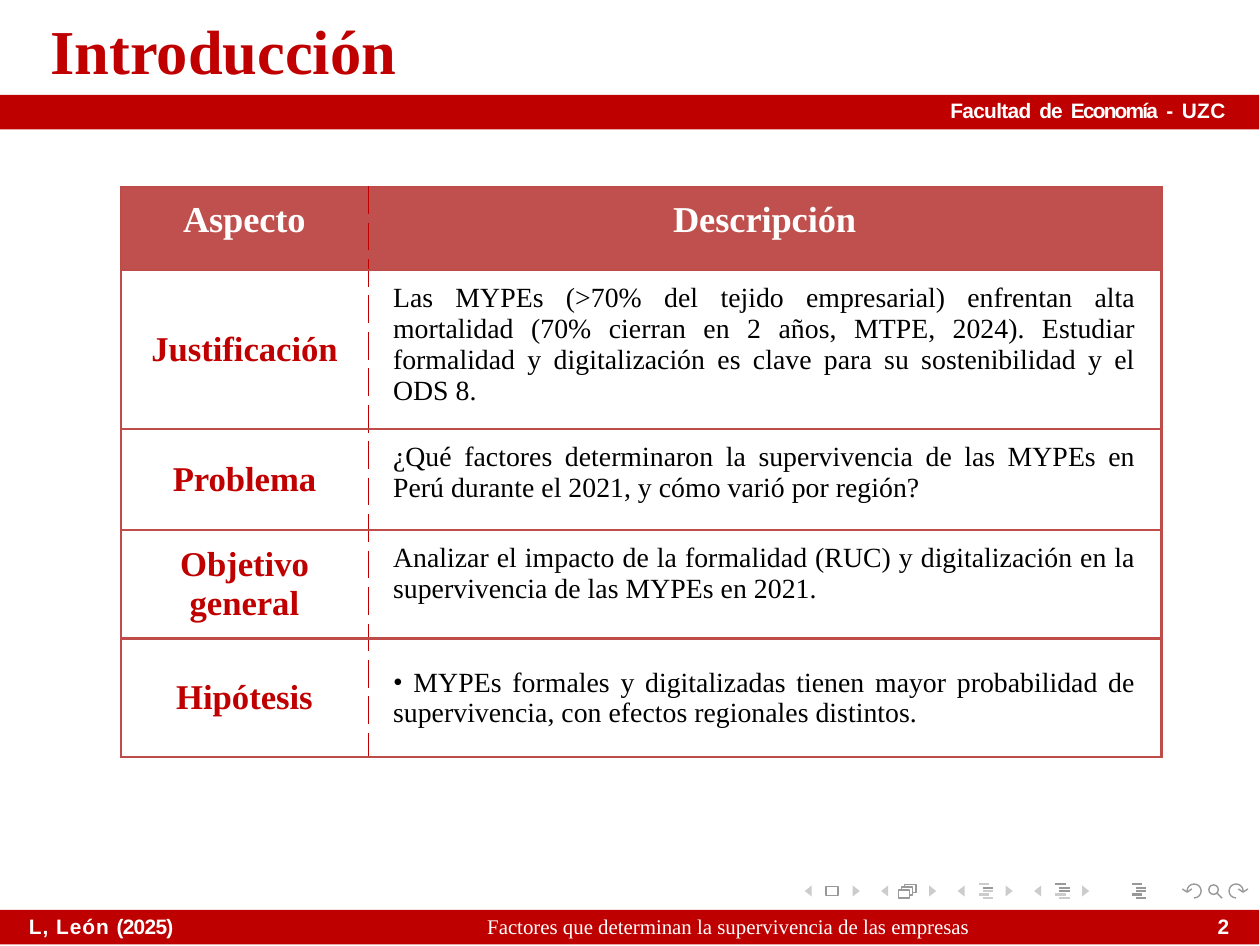
from dataclasses import dataclass
from math import cos, pi, sin

from lxml.etree import SubElement
from pptx import Presentation
from pptx.dml.color import RGBColor
from pptx.enum.shapes import MSO_CONNECTOR as Connector, MSO_SHAPE as Preset
from pptx.enum.text import MSO_ANCHOR as Anchor, MSO_AUTO_SIZE as AutoSize, PP_ALIGN as Align
from pptx.oxml import parse_xml
from pptx.oxml.ns import nsdecls, qn
from pptx.util import Inches, Pt

UNIT = Inches(0.01)
BAND_WIDTH = 503.9
RED, BAND_RED, BORDER, HEADER = "C00000", "BF0000", "BF4C48", "C0504D"
WHITE, BLACK, DARK, LIGHT = "FFFFFF", "000000", "999999", "CCCCCC"
SERIF, SANS = "Times New Roman", "Arial"

Point = tuple[float, float]


@dataclass
class Label:
    column: float
    row: float
    width: float
    height: float
    spans: list[tuple[str, float]]
    font: str = SANS
    bold: bool = True


@dataclass
class Aspect:
    name: str
    description: str
    height: float
    bulleted: bool = False


@dataclass
class Outline:
    contours: list[list[Point]]
    colour: str
    width: float = 0
    closed: bool = False


LABELS = [
    Label(380.3, 39.5, 114, 11, [("Facultad", -0.2), (" ", 0.7), ("de", -0.3), (" ", 0.7),
                                 ("Economía", -0.5), (" ", 0.7), ("-", 0.1), (" ", 0.7), ("UZC", 0.1)]),
    Label(11.6, 366, 76, 10, [("L, León ", 0.27), ("(2025)", -0.2)]),
    Label(195, 366, 217, 10, [("Factores que determinan la supervivencia de las empresas", 0)], SERIF, False),
    Label(487.3, 366, 13, 11, [("2", -0.1)]),
]

ASPECTS = [
    Aspect("Aspecto", "Descripción", 33.2),
    Aspect("Justificación", "Las MYPEs (>70% del tejido empresarial) enfrentan alta mortalidad "
           "(70% cierran en 2 años, MTPE, 2024). Estudiar formalidad y digitalización es clave "
           "para su sostenibilidad y el ODS 8.", 63.5),
    Aspect("Problema", "¿Qué factores determinaron la supervivencia de las MYPEs en Perú "
           "durante el 2021, y cómo varió por región?", 40.5),
    Aspect("Objetivo general", "Analizar el impacto de la formalidad (RUC) y digitalización en la "
           "supervivencia de las MYPEs en 2021.", 43),
    Aspect("Hipótesis", " MYPEs formales y digitalizadas tienen mayor probabilidad de "
           "supervivencia, con efectos regionales distintos.", 47.5, True),
]

NAV_LEFT, NAV_PITCH, NAV_MIDDLE = 322, 30.6, 356.5
LIST_INDENTS = [0, 1.5, 1.5, 0, 1.5]
LIST_DARK_LINES = [{1}, {0, 1, 2}, {0, 1, 2, 3, 4}]


def grid(value: float) -> int:
    return round(value * UNIT)


def colour(value: str) -> RGBColor:
    return RGBColor.from_string(value)


def write(para, text: str, *, size: float, font: str = SERIF, ink: str = BLACK,
          bold: bool = False, spacing: float = 0) -> None:
    span = para.add_run()
    span.text = text
    span.font.name, span.font.size, span.font.bold = font, Pt(size), bold
    span.font.color.rgb = colour(ink)
    if spacing:
        span._r.get_or_add_rPr().set("spc", str(round(spacing * 100)))


def draw_band(page, row: float) -> None:
    band = page.shapes.add_shape(Preset.RECTANGLE, 0, grid(row), grid(BAND_WIDTH), grid(13.8))
    band.shadow.inherit = False
    band.fill.solid()
    band.fill.fore_color.rgb = colour(BAND_RED)
    band.line.fill.background()


def draw_label(page, label: Label) -> None:
    box = page.shapes.add_textbox(*map(grid, (label.column, label.row, label.width, label.height)))
    frame = box.text_frame
    frame.word_wrap = True
    frame.margin_left = frame.margin_right = frame.margin_top = frame.margin_bottom = 0
    para = frame.paragraphs[0]
    para.line_spacing = Pt(6.8)
    for text, spacing in label.spans:
        write(para, text, size=6, font=label.font, ink=WHITE, bold=label.bold, spacing=spacing)


def draw_outline(page, outline: Outline) -> None:
    contours = [[(grid(x), grid(y)) for x, y in contour] for contour in outline.contours]
    builder = page.shapes.build_freeform(*contours[0][0], scale=1.0)
    for number, contour in enumerate(contours):
        if number:
            builder.move_to(*contour[0])
        builder.add_line_segments(contour[1:], close=outline.closed)
    shape = builder.convert_to_shape()
    shape.shadow.inherit = False
    if outline.width:
        shape.fill.background()
        shape.line.color.rgb = colour(outline.colour)
        shape.line.width = Pt(outline.width)
    else:
        shape.fill.solid()
        shape.fill.fore_color.rgb = colour(outline.colour)
        shape.line.fill.background()


def draw_line(page, column: float, row: float, length: float, ink: str) -> None:
    line = page.shapes.add_connector(
        Connector.STRAIGHT, grid(column), grid(row), grid(column + length), grid(row))
    line.line.color.rgb = colour(ink)
    line.line.width = Pt(0.6)
    SubElement(line._element.spPr, qn("a:effectLst"))


def arc(column: float, row: float, radius: float, start: float, sweep: float) -> list[Point]:
    angles = [start + sweep * step / 12 for step in range(13)]
    return [(column + radius * cos(a), row + radius * sin(a)) for a in angles]


def frame_outline(column: float, row: float, width: float, height: float) -> list[Point]:
    right, bottom = column + width, row + height
    return [(column, row), (right, row), (right, bottom), (column, bottom), (column, row)]


def turn_arrow(column: float, side: int) -> list[list[Point]]:
    loop = [(column + side * x, y) for x, y in arc(0, NAV_MIDDLE, 2.8, pi / 2, -1.5 * pi)]
    head = [(column + side * x, NAV_MIDDLE + y) for x, y in ((-0.9, -0.8), (-2.8, 0.5), (-4.7, -0.8))]
    return [loop, head]


def draw_navigation(page) -> None:
    for step in range(4):
        left = NAV_LEFT + step * NAV_PITCH
        arrows = [[(base, NAV_MIDDLE - 2.2), (base, NAV_MIDDLE + 2.2), (tip, NAV_MIDDLE)]
                  for base, tip in ((left + 2.8, left), (left + 19.2, left + 22))]
        draw_outline(page, Outline(arrows, LIGHT, closed=True))
    stack = [frame_outline(359.5, 356, 4.6, 3.2)]
    stack += [[(x, y + 1.4), (x, y), (x + 4.6, y), (x + 4.6, y + 3.2), (x + 3.2, y + 3.2)]
              for x, y in ((360.7, 354.9), (361.9, 353.8))]
    lens = [arc(485.6, 355.9, 1.9, 0, 2 * pi), [(487, 357.3), (489, 359.3)]]
    for contours in ([frame_outline(330.6, 354.8, 4.8, 3.4)], stack, lens,
                     turn_arrow(477.8, 1), turn_arrow(494.6, -1)):
        draw_outline(page, Outline(contours, DARK, 0.4))
    for step, dark_lines in enumerate(LIST_DARK_LINES):
        for number, indent in enumerate(LIST_INDENTS):
            ink = DARK if number in dark_lines else LIGHT
            draw_line(page, 391.7 + step * NAV_PITCH + indent, 353.7 + number * 1.4, 4.2, ink)


def set_borders(cell, column: int) -> None:
    dashed = "R" if column == 0 else "L"
    for position, side in enumerate("LRTB"):
        ink, width, dash = (RED, 0.25, "sysDash") if side == dashed else (BORDER, 0.75, "solid")
        cell._tc.get_or_add_tcPr().insert(position, parse_xml(
            f'<a:ln{side} {nsdecls("a")} w="{Pt(width)}"><a:solidFill><a:srgbClr val="{ink}"/>'
            f'</a:solidFill><a:prstDash val="{dash}"/></a:ln{side}>'))


def draw_aspects(page) -> None:
    height = sum(aspect.height for aspect in ASPECTS)
    table = page.shapes.add_table(len(ASPECTS), 2, *map(grid, (48.3, 74.9, 416.5, height))).table
    table.first_row = table.horz_banding = False
    for column, width in enumerate((99, 317.5)):
        table.columns[column].width = grid(width)
    for row, aspect in enumerate(ASPECTS):
        table.rows[row].height = grid(aspect.height)
        for column, text in enumerate((aspect.name, aspect.description)):
            cell = table.cell(row, column)
            cell.fill.solid()
            cell.fill.fore_color.rgb = colour(WHITE if row else HEADER)
            set_borders(cell, column)
            para = cell.text_frame.paragraphs[0]
            para.alignment = Align.JUSTIFY if row and column else Align.CENTER
            if row and (column == 0 or aspect.bulleted):
                cell.vertical_anchor = Anchor.MIDDLE
            if row == 0:
                write(para, text, size=10.5, ink=WHITE, bold=True)
            elif column == 0:
                write(para, text, size=10, ink=RED, bold=True)
            else:
                write(para, text, size=8)
            if column and aspect.bulleted:
                cell.margin_top = cell.margin_bottom = grid(10)
                para.space_before = para.space_after = Pt(3.8)
                SubElement(para._p.get_or_add_pPr(), qn("a:buFont")).set("typeface", SERIF)
                SubElement(para._p.get_or_add_pPr(), qn("a:buChar")).set("char", "•")


def draw_title(page) -> None:
    title = page.shapes.title
    title.left, title.top, title.width, title.height = map(grid, (10.2, 0, 217, 40))
    frame = title.text_frame
    frame.auto_size = AutoSize.NONE
    frame.vertical_anchor = Anchor.TOP
    para = frame.paragraphs[0]
    para.alignment = Align.LEFT
    write(para, "Introducción", size=18, ink=RED, bold=True)


def main() -> None:
    deck = Presentation()
    deck.slide_width = Pt(363)
    deck.slide_height = Pt(272.5)
    page = deck.slides.add_slide(deck.slide_layouts[5])
    draw_title(page)
    draw_navigation(page)
    for row in (38, 364):
        draw_band(page, row)
    for label in LABELS:
        draw_label(page, label)
    draw_aspects(page)
    deck.save("out.pptx")


if __name__ == "__main__":
    main()
